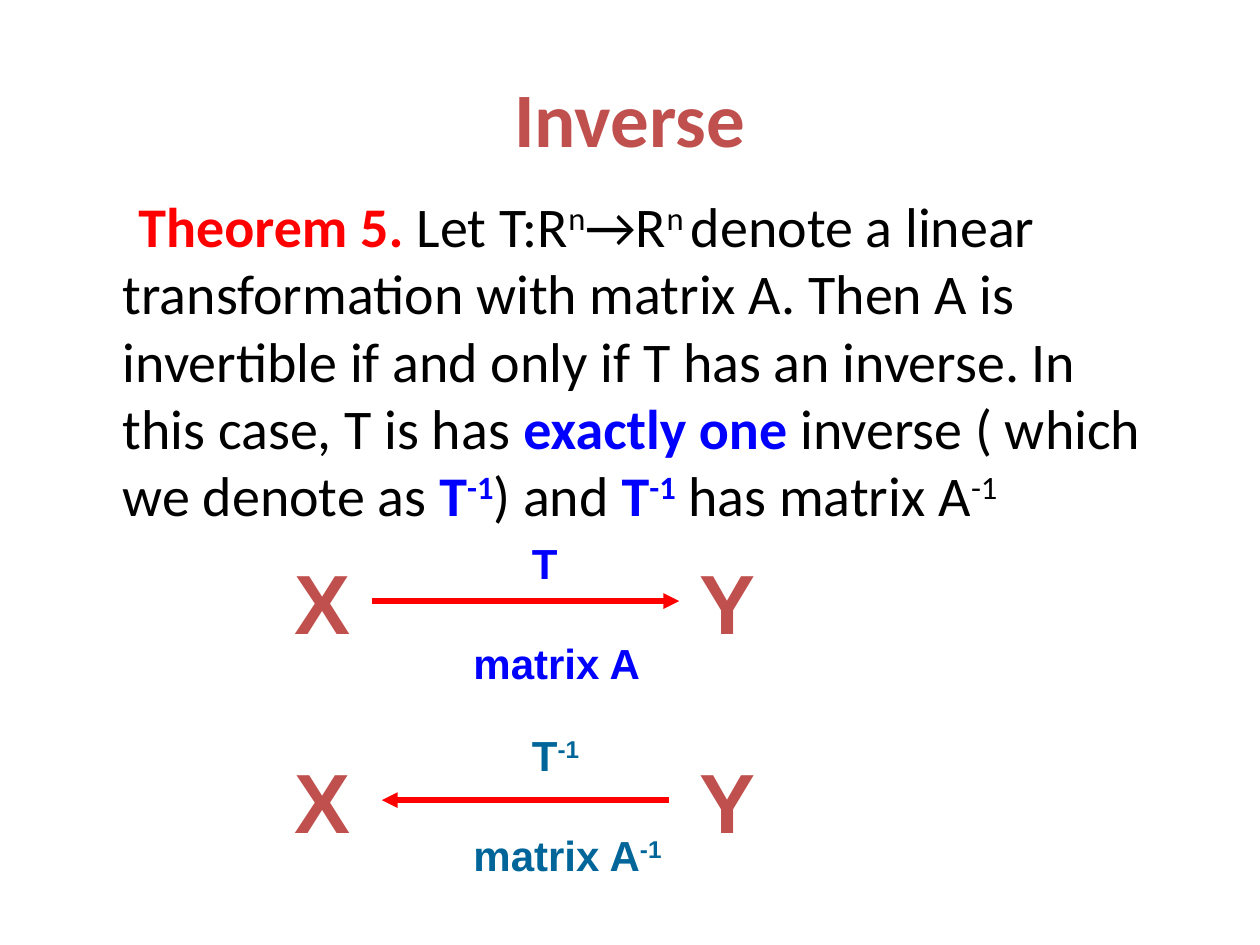
from dataclasses import dataclass

from lxml import etree
from pptx import Presentation
from pptx.dml.color import RGBColor
from pptx.enum.shapes import MSO_CONNECTOR
from pptx.enum.text import MSO_ANCHOR, PP_ALIGN
from pptx.oxml.ns import qn
from pptx.util import Pt

STRAIGHT = MSO_CONNECTOR.STRAIGHT
TOP, MIDDLE = MSO_ANCHOR.TOP, MSO_ANCHOR.MIDDLE
LEFT, CENTER = PP_ALIGN.LEFT, PP_ALIGN.CENTER


@dataclass(frozen=True)
class Theme:
    heading_font: str = "Calibri"
    diagram_font: str = "Arial"
    brick: str = "C0504D"
    black: str = "000000"
    red: str = "FF0000"
    blue: str = "0000FF"
    teal: str = "006699"
    title_size: int = 44
    body_size: int = 32
    letter_size: int = 48
    label_size: int = 24
    arrow_width: int = 3


THEME = Theme()


def style(font, name, size, color, bold):
    values = {"name": name, "size": Pt(size), "bold": bold}
    for key, value in values.items():
        setattr(font, key, value)
    font.color.rgb = RGBColor.from_string(color)


def add_text(page, area, pieces, name, size, wrap=True, anchor=TOP, align=LEFT):
    """Each piece is (text, color, bold, raised)."""
    box = page.shapes.add_textbox(*(Pt(value) for value in area))
    frame = box.text_frame
    for key, value in {"word_wrap": wrap, "vertical_anchor": anchor}.items():
        setattr(frame, key, value)
    para = frame.paragraphs[0]
    para.alignment = align
    for text, color, bold, raised in pieces:
        span = para.add_run()
        span.text = text
        style(span.font, name, size, color, bold)
        if raised:
            span._r.get_or_add_rPr().set("baseline", "30000")
    return para


def add_arrow(page, start, end, y):
    arrow = page.shapes.add_connector(STRAIGHT, Pt(start), Pt(y), Pt(end), Pt(y))
    arrow.line.color.rgb = RGBColor.from_string(THEME.red)
    arrow.line.width = Pt(THEME.arrow_width)
    outline = arrow.line._get_or_add_ln()
    etree.SubElement(outline, qn("a:tailEnd"), type="triangle")
    etree.SubElement(arrow._element.spPr, qn("a:effectLst"))


def add_theorem(page):
    def plain(text, raised=False):
        return text, THEME.black, False, raised

    def strong(text, raised=False):
        return text, THEME.blue, True, raised

    inverse = [strong("T"), strong("-1", True)]
    pieces = [
        ("Theorem 5.", THEME.red, True, False),
        plain(" Let T:R"), plain("n", True), plain("→R"), plain("n ", True),
        plain("denote a linear transformation with matrix A. Then A is "
              "invertible if and only if T has an inverse. In this case, T is has "),
        strong("exactly one"), plain(" inverse ( which we denote as "),
        *inverse, plain(") and "), *inverse,
        plain(" has matrix A"), plain("-1", True),
    ]
    para = add_text(page, (36, 106, 624, 227), pieces,
                    THEME.heading_font, THEME.body_size)
    # Left margin with a first line set further in
    properties = para._p.get_or_add_pPr()
    for key, value in {"marL": Pt(27), "indent": Pt(9)}.items():
        properties.set(key, str(int(value)))


def add_mapping(page, letter_top, label_top, arrow, color, exponent):
    # Domain and codomain
    for letter, left in (("X", 161.3), ("Y", 392.6)):
        add_text(page, (left, letter_top, 48, 62), [(letter, THEME.brick, True, False)],
                 THEME.diagram_font, THEME.letter_size, wrap=False)
    add_arrow(page, *arrow)
    # Names above and below the arrow
    for label, left, offset in (("T", 296.9, 0), ("matrix A", 263.5, 56.9)):
        pieces = [(label, color, True, False)]
        if exponent:
            pieces.append((exponent, color, True, True))
        add_text(page, (left, label_top + offset, 125, 35), pieces,
                 THEME.diagram_font, THEME.label_size, wrap=False)


def main():
    deck = Presentation()
    deck.slide_width, deck.slide_height = Pt(720), Pt(540)
    page = deck.slides.add_slide(deck.slide_layouts[6])

    # Title and theorem
    add_text(page, (36, 21.6, 648, 90), [("Inverse", THEME.brick, True, False)],
             THEME.heading_font, THEME.title_size, anchor=MIDDLE, align=CENTER)
    add_theorem(page)

    # The transformation and its inverse
    add_mapping(page, 311, 303.8, (212.4, 388.1, 343.5), THEME.blue, "")
    add_mapping(page, 424.8, 413.3, (382.3, 218.2, 457.2), THEME.teal, "-1")

    deck.save("out.pptx")


main()
